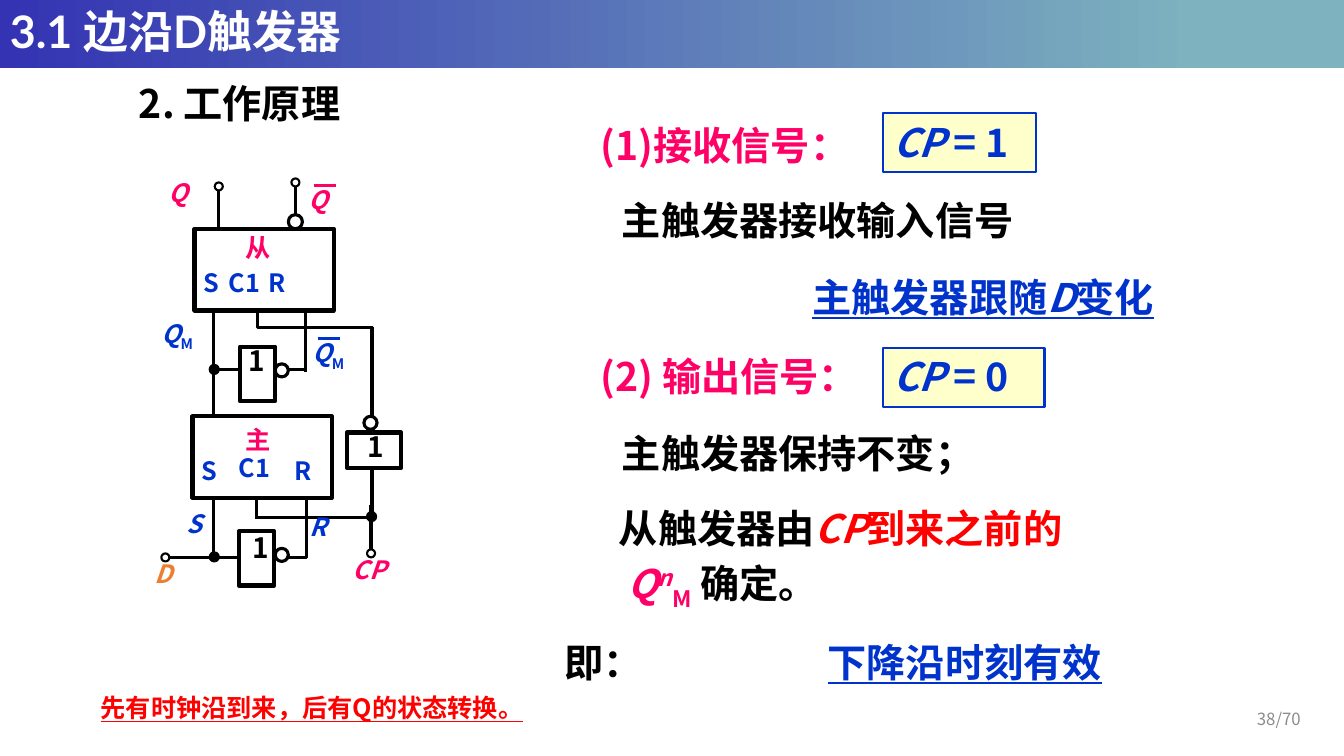
from pptx import Presentation
from pptx.dml.color import RGBColor
from pptx.enum.shapes import MSO_CONNECTOR, MSO_SHAPE
from pptx.enum.text import MSO_ANCHOR, PP_ALIGN
from pptx.oxml.ns import qn
from pptx.util import Pt
from lxml.etree import SubElement

SCALE = 9144
FONT = "Noto Sans CJK SC"
BLACK = RGBColor(0, 0, 0)
WHITE = RGBColor(255, 255, 255)
BLUE = RGBColor(0x00, 0x33, 0xCC)
PINK = RGBColor(0xFF, 0x00, 0x66)
RED = RGBColor(0xFF, 0x00, 0x00)
ORANGE = RGBColor(0xED, 0x7D, 0x31)
GRAY = RGBColor(0x8C, 0x8C, 0x8C)
CREAM = RGBColor(0xFF, 0xFF, 0xCC)
BAR_START = RGBColor(0x33, 0x33, 0xB3)
BAR_END = RGBColor(0x7D, 0xB2, 0xBE)


def px(*lengths):
    """Turn pixel lengths into EMU."""
    return [length * SCALE for length in lengths]


def add_run(paragraph, text, size=28, color=BLACK, bold=True, italic=False,
            underline=False, baseline=0, latin=FONT):
    """Append one formatted run to a paragraph."""
    run = paragraph.add_run()
    run.text = text
    font = run.font
    font.size, font.bold, font.italic = Pt(size), bold, italic
    font.underline = underline
    font.color.rgb = color
    font.name = latin
    properties = run._r.get_or_add_rPr()
    SubElement(properties, qn("a:ea")).set("typeface", FONT)
    if baseline:
        properties.set("baseline", str(baseline * 1000))


def add_tabs(paragraph, positions):
    """Give a paragraph left tab stops."""
    tabs = SubElement(paragraph._p.get_or_add_pPr(), qn("a:tabLst"))
    for position in positions:
        SubElement(tabs, qn("a:tab"), pos=str(position * SCALE), algn="l")


def write(shape, lines, anchor=MSO_ANCHOR.TOP, align=PP_ALIGN.LEFT,
          gap=0, spacing=None, tabs=(), **style):
    """Fill a shape with lines, each a string or a list of (text, format) runs."""
    frame = shape.text_frame
    frame.word_wrap = True
    frame.vertical_anchor = anchor
    for index, line in enumerate(lines):
        paragraph = frame.add_paragraph() if index else frame.paragraphs[0]
        paragraph.alignment = align
        if spacing:
            paragraph.line_spacing = spacing
        if index and gap:
            paragraph.space_before = Pt(gap)
        if tabs:
            add_tabs(paragraph, tabs)
        runs = [(line, {})] if isinstance(line, str) else line
        for text, changes in runs:
            add_run(paragraph, text, **{**style, **changes})


def add_text(slide, box, *lines, **style):
    """Add a text box."""
    write(slide.shapes.add_textbox(*px(*box)), lines, **style)


def add_block(slide, box, kind=MSO_SHAPE.RECTANGLE, fill=WHITE, line=BLACK, width=3):
    """Add a filled and outlined preset shape."""
    shape = slide.shapes.add_shape(kind, *px(*box))
    shape.shadow.inherit = False
    shape.fill.solid()
    shape.fill.fore_color.rgb = fill
    shape.line.color.rgb = line
    shape.line.width = Pt(width)
    return shape


def add_circle(slide, left, top, diameter, fill=WHITE, width=1.5):
    """Add a terminal, a junction or an inversion bubble."""
    add_block(slide, (left, top, diameter, diameter), MSO_SHAPE.OVAL, fill, width=width)


def add_line(slide, ends, color=BLACK):
    """Add a straight wire or an overbar."""
    connector = slide.shapes.add_connector(MSO_CONNECTOR.STRAIGHT, *px(*ends))
    connector.line.color.rgb = color
    connector.line.width = Pt(2.25)
    SubElement(connector._element.spPr, qn("a:effectLst"))


def add_bent_wire(slide, *points):
    """Add a wire with corners."""
    builder = slide.shapes.build_freeform(*points[0], scale=SCALE)
    builder.add_line_segments(points[1:], close=False)
    shape = builder.convert_to_shape()
    shape.shadow.inherit = False
    shape.fill.background()
    shape.line.color.rgb = BLACK
    shape.line.width = Pt(2.25)


def add_header(slide):
    """Add the gradient bar and the title."""
    bar = add_block(slide, (0, 0, 1333, 68))
    bar.line.fill.background()
    bar.fill.gradient()
    bar.fill.gradient_angle = 0
    for stop, color, position in zip(bar.fill.gradient_stops, (BAR_START, BAR_END), (0, 0.89)):
        stop.color.rgb = color
        stop.position = position
    add_text(slide, (0, 0, 1333, 68), "3.1 边沿D触发器", size=32, color=WHITE,
             latin="Lato", anchor=MSO_ANCHOR.MIDDLE, spacing=0.9)


def add_circuit(slide):
    """Draw the master-slave circuit."""
    for ends in [(368, 501, 368, 549), (212, 302, 212, 549), (303, 308, 303, 369),
                 (217, 232, 217, 185), (293, 229, 293, 182), (254, 486, 254, 515),
                 (212, 367, 302, 367)]:
        add_line(slide, ends)
    add_bent_wire(slide, (304, 494), (304, 553), (166, 553))
    add_bent_wire(slide, (255, 307), (255, 325), (370, 325))
    add_bent_wire(slide, (369, 324), (369, 513), (254, 513))
    for left, top in [(364, 545), (213, 181), (289, 177), (160, 549)]:
        add_circle(slide, left, top, 8)
    for left, top in [(364, 508), (208, 362), (208, 548)]:
        add_circle(slide, left, top, 9, fill=BLACK)
    for left, top, diameter in [(286, 213, 14), (361, 413, 13), (273, 361, 13), (273, 544, 13)]:
        add_circle(slide, left, top, diameter, width=2.25)
    for box in [(193, 227, 138, 81), (191, 413, 138, 81), (344, 429, 54, 35),
                (238, 344, 35, 54), (237, 527, 35, 54)]:
        add_block(slide, box)
    for left, top in [(355, 421), (237, 336), (241, 521)]:
        add_text(slide, (left, top, 34, 43), "1", size=20)


def add_circuit_labels(slide):
    """Name the pins and signals of the circuit."""
    inner = [("Q", {"italic": True}), ("M", {"baseline": -25})]
    for left, top, width in [(150, 311, 92), (300, 330, 88)]:
        add_text(slide, (left, top, width, 50), inner, size=18, color=BLUE)
    for text, left, top, width, color in [
            ("CP", 340, 545, 88, PINK), ("R", 297, 502, 53, BLUE), ("S", 175, 499, 51, BLUE),
            ("Q", 296, 178, 67, PINK), ("Q", 157, 171, 44, PINK), ("D", 143, 549, 63, ORANGE)]:
        add_text(slide, (left, top, width, 50), text, size=18, color=color, italic=True)
    for text, left, top, width in [("R", 282, 447, 72), ("S", 190, 447, 47), ("C1", 227, 444, 61)]:
        add_text(slide, (left, top, width, 50), text, size=18, color=BLUE)
    add_text(slide, (192, 260, 175, 50), "S\tC1\tR", size=18, color=BLUE, tabs=(25, 64))
    add_line(slide, (315, 336, 337, 336), BLUE)
    add_line(slide, (311, 184, 333, 184), PINK)
    add_text(slide, (234, 226, 66, 240), "从", "主", size=18, color=PINK, gap=115)


def add_explanation(slide):
    """Add the working principle in words."""
    italic = {"italic": True}
    add_text(slide, (128, 74, 355, 57), "2. 工作原理")
    add_text(slide, (586, 115, 275, 57), "(1)接收信号：", color=PINK)
    add_text(slide, (586, 345, 306, 57), "(2) 输出信号：", color=PINK)
    for top, width, value in [(112, 152, "= 1"), (345, 160, "= 0")]:
        panel = add_block(slide, (876, top, width, 59), fill=CREAM, line=BLUE, width=1.5)
        write(panel, [[("CP ", italic), (value, {})]], color=BLUE)
    add_text(slide, (607, 190, 467, 57), "主触发器接收输入信号")
    add_text(slide, (796, 266, 389, 57), [("主触发器跟随", {}), ("D", italic), ("变化", {})],
             color=BLUE, underline=True)
    add_text(slide, (607, 421, 433, 57), "主触发器保持不变；")
    add_text(slide, (604, 495, 504, 113),
             [("从触发器由", {}), ("CP", {"color": RED, "italic": True}),
              ("到来之前的", {"color": RED})],
             [(" ", {}), ("Q", {"color": PINK, "italic": True}),
              ("n", {"color": PINK, "italic": True, "baseline": 30}),
              ("M", {"color": PINK, "baseline": -25}), (" 确定。", {})], gap=5.6)
    add_text(slide, (550, 628, 125, 57), "即：")
    add_text(slide, (811, 628, 340, 57), "下降沿时刻有效", color=BLUE, underline=True)
    add_text(slide, (90, 682, 617, 50), "先有时钟沿到来，后有Q的状态转换。",
             size=18, color=RED, underline=True)
    add_text(slide, (1198, 693, 102, 40), "38/70", size=12, color=GRAY, bold=False,
             anchor=MSO_ANCHOR.MIDDLE, align=PP_ALIGN.RIGHT)


def main():
    """Build and save the slide."""
    presentation = Presentation()
    presentation.slide_width, presentation.slide_height = px(1333, 750)
    slide = presentation.slides.add_slide(presentation.slide_layouts[6])
    add_header(slide)
    add_circuit(slide)
    add_circuit_labels(slide)
    add_explanation(slide)
    presentation.save("out.pptx")


if __name__ == "__main__":
    main()
